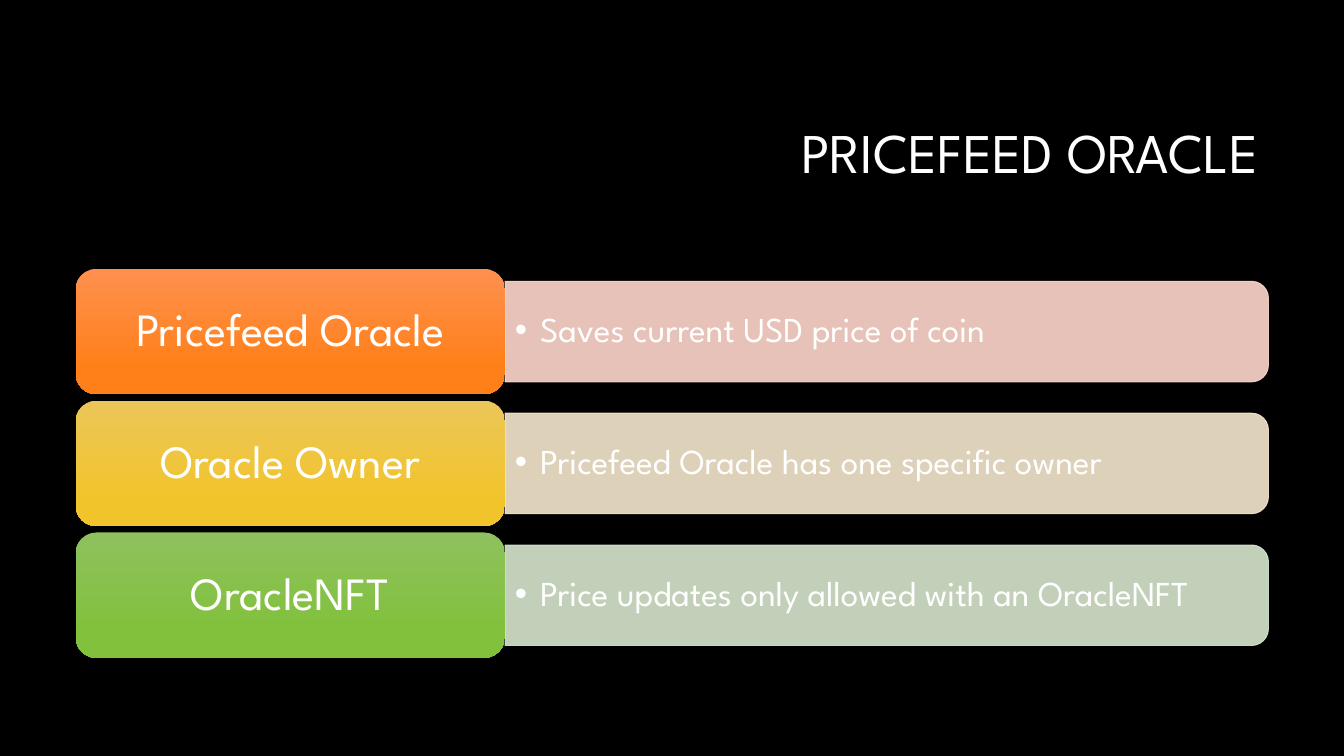
from lxml.etree import SubElement
from pptx import Presentation
from pptx.dml.color import RGBColor
from pptx.enum.shapes import MSO_SHAPE as Shape
from pptx.enum.text import MSO_ANCHOR as Anchor, PP_ALIGN as Align
from pptx.oxml.ns import qn
from pptx.util import Pt

FONT = "League Spartan"
BLACK = RGBColor(0x00, 0x00, 0x00)
WHITE = RGBColor(0xFF, 0xFF, 0xFF)
# label, detail, gradient top, gradient base, bar tint
ROWS = [
    ("Pricefeed Oracle", "Saves current USD price of coin",
     RGBColor(0xFE, 0x90, 0x4F), RGBColor(0xFF, 0x80, 0x19), RGBColor(0xFF, 0xD8, 0xCD)),
    ("Oracle Owner", "Pricefeed Oracle has one specific owner",
     RGBColor(0xEB, 0xC6, 0x59), RGBColor(0xF2, 0xC4, 0x2C), RGBColor(0xF7, 0xE8, 0xCE)),
    ("OracleNFT", "Price updates only allowed with an OracleNFT",
     RGBColor(0x8F, 0xC1, 0x5E), RGBColor(0x81, 0xC1, 0x3C), RGBColor(0xD8, 0xE7, 0xCF)),
]


def write(shape, text, size, align, pad):
    """Set one middle-anchored paragraph, pad points in from the sides."""
    frame = shape.text_frame
    frame.word_wrap = True
    frame.vertical_anchor = Anchor.MIDDLE
    frame.margin_left = frame.margin_right = Pt(pad)
    frame.margin_top = frame.margin_bottom = Pt(pad / 2)
    para = frame.paragraphs[0]
    para.text = text
    para.alignment = align
    para.line_spacing = 0.9
    font = para.runs[0].font
    font.name, font.size, font.color.rgb = FONT, Pt(size), WHITE
    return para


def add_bullet(para, indent):
    props = para._p.get_or_add_pPr()
    props.set("marL", str(Pt(indent)))
    props.set("indent", str(-Pt(indent)))
    SubElement(props, qn("a:buFont"), typeface="Arial")
    SubElement(props, qn("a:buChar"), char="•")


def fade(fill):
    """Make a solid fill 90% opaque."""
    color = fill._xPr.find(qn("a:solidFill"))[0]
    SubElement(color, qn("a:alpha"), val="90000")


def add_title(slide, left, top, width, height):
    box = slide.shapes.add_textbox(Pt(left), Pt(top), Pt(width), Pt(height))
    write(box, "PRICEFEED ORACLE", 40, Align.RIGHT, 7.2)


def add_bar(slide, text, tint, left, top, width, height):
    # The preset rounds its top corners, so a quarter turn rounds the right end.
    turn = (width - height) / 2
    bar = slide.shapes.add_shape(Shape.ROUND_2_SAME_RECTANGLE, Pt(left + turn),
                                 Pt(top - turn), Pt(height), Pt(width))
    bar.rotation = 90
    bar.shadow.inherit = False
    bar.line.width = Pt(0.75)
    for fill in (bar.fill, bar.line.fill):
        fill.solid()
        fill.fore_color.rgb = tint
        fade(fill)
    box = slide.shapes.add_textbox(Pt(left), Pt(top + 3.5), Pt(width - 3.5), Pt(height - 7))
    add_bullet(write(box, text, 25, Align.LEFT, 7.2), 18)


def add_label(slide, text, light, deep, left, top, width, height):
    label = slide.shapes.add_shape(Shape.ROUNDED_RECTANGLE, Pt(left), Pt(top),
                                   Pt(width), Pt(height))
    label.shadow.inherit = False
    label.line.fill.background()
    label.fill.gradient()
    label.fill.gradient_angle = 270
    for stop, color, place in zip(label.fill.gradient_stops, (light, deep), (0, 0.78)):
        stop.color.rgb = color
        stop.position = place
    write(label, text, 33, Align.CENTER, 10)


def add_rows(slide, left, top, width, height):
    """Stack the rows: a label on the left, a thinner bar centred beside it."""
    gap = 4.5
    tall = (height - gap * (len(ROWS) - 1)) / len(ROWS)
    wide = width * 0.36
    thin = tall * 0.8
    for i, (name, detail, light, deep, tint) in enumerate(ROWS):
        y = top + i * (tall + gap)
        add_bar(slide, detail, tint, left + wide, y + (tall - thin) / 2, width - wide, thin)
        add_label(slide, name, light, deep, left, y, wide, tall)


def main():
    deck = Presentation()
    deck.slide_width, deck.slide_height = Pt(960), Pt(540)
    slide = deck.slides.add_slide(deck.slide_layouts[6])
    slide.background.fill.solid()
    slide.background.fill.fore_color.rgb = BLACK
    add_title(slide, 228, 60.5, 678, 101.5)
    add_rows(slide, 54, 192, 852, 278)
    deck.save("out.pptx")


if __name__ == "__main__":
    main()
